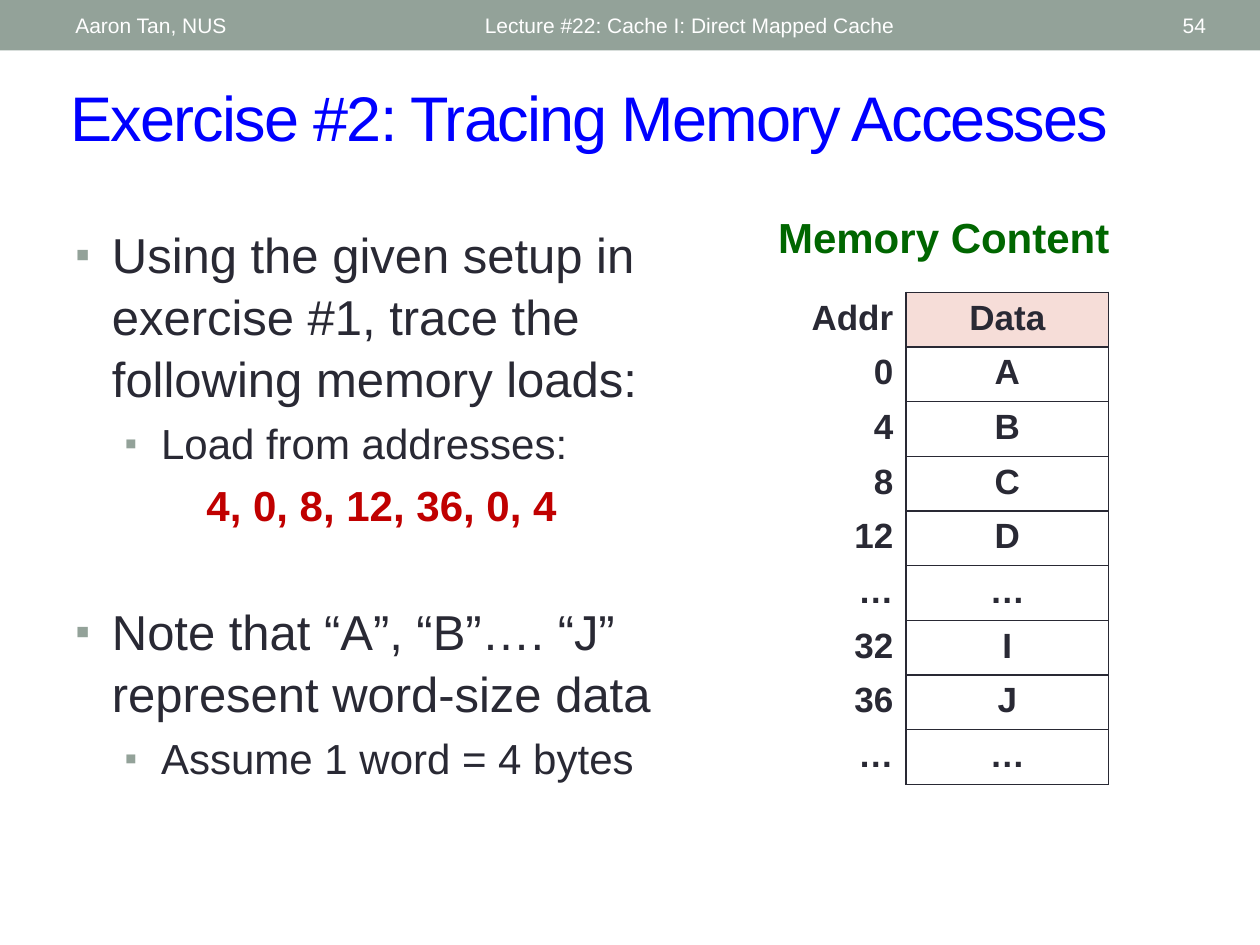
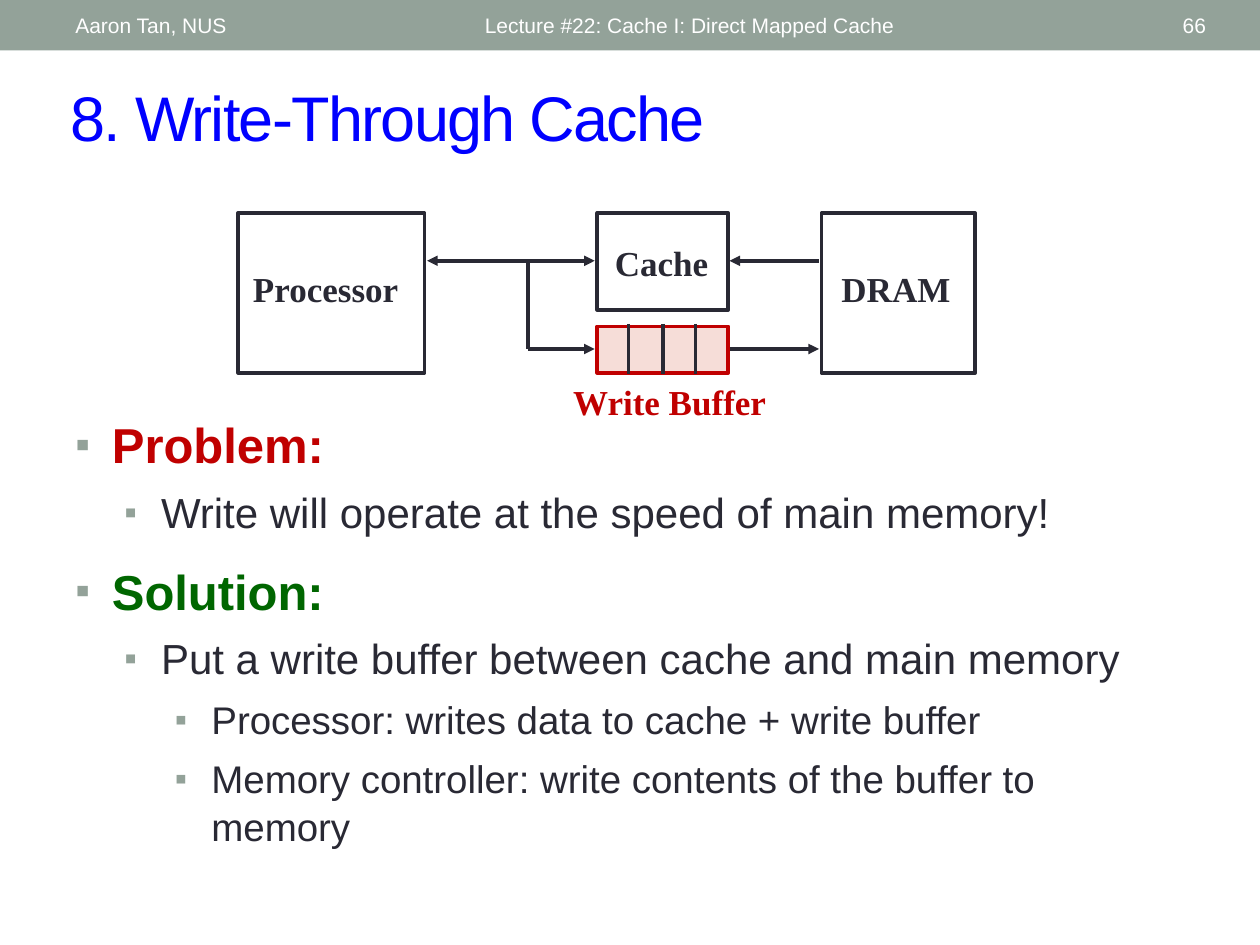
from lxml import etree
from pptx import Presentation
from pptx.dml.color import RGBColor
from pptx.enum.shapes import MSO_CONNECTOR, MSO_SHAPE
from pptx.enum.text import MSO_ANCHOR, PP_ALIGN
from pptx.oxml.ns import qn
from pptx.util import Inches, Pt

LEFT, CENTER, RIGHT = PP_ALIGN.LEFT, PP_ALIGN.CENTER, PP_ALIGN.RIGHT
TOP, MIDDLE = MSO_ANCHOR.TOP, MSO_ANCHOR.MIDDLE
RECTANGLE = MSO_SHAPE.RECTANGLE
STRAIGHT = MSO_CONNECTOR.STRAIGHT

SAGE = "93A299"
INK = "292934"
BLUE = "0000FF"
RED = "C00000"
GREEN = "006600"
PINK = "F6DDD8"
WHITE = "FFFFFF"
SANS = "Arial"
SERIF = "Times New Roman"

LEVEL_SIZES = [28, 24, 22]
LEVEL_MARGINS = [0.29, 0.68, 1.08]
LEVEL_BULLETS = [85, 85, 90]
HANGING = 0.29


def rgb(value):
    return RGBColor.from_string(value)


def add_element(parent, tag, **attributes):
    return etree.SubElement(parent, qn(tag), attributes)


class Deck:
    def __init__(self):
        self.presentation = Presentation()
        self.presentation.slide_width = Inches(10)
        self.presentation.slide_height = Inches(7.5)
        self.slide = None

    def start_slide(self, title, number):
        blank = self.presentation.slide_layouts[6]
        self.slide = self.presentation.slides.add_slide(blank)
        self.box(0, 0, 10, 0.4, fill=SAGE)
        title_run = self.text(title, 0.46, 0.57, 9.21, 0.7, 36, BLUE, anchor=MIDDLE)
        title_run._r.get_or_add_rPr().set("spc", "-100")
        headers = [
            ("Aaron Tan, NUS", 0.5, 3.17, LEFT),
            ("Lecture #22: Cache I: Direct Mapped Cache", 3.75, 4.5, LEFT),
            (str(number), 8.72, 0.95, RIGHT),
        ]
        for words, left, width, align in headers:
            self.text(words, left, 0.02, width, 0.36, 12, WHITE, align=align, anchor=MIDDLE)

    def style_run(self, run, size, color, bold=False, font=SANS):
        run.font.size = Pt(size)
        run.font.name = font
        run.font.bold = bold
        run.font.color.rgb = rgb(color)

    def text_frame(self, left, top, width, height, anchor=TOP):
        shape = self.slide.shapes.add_textbox(
            Inches(left), Inches(top), Inches(width), Inches(height))
        shape.text_frame.word_wrap = True
        shape.text_frame.vertical_anchor = anchor
        return shape.text_frame

    def text(self, words, left, top, width, height, size, color,
             bold=False, font=SANS, align=LEFT, anchor=TOP):
        frame = self.text_frame(left, top, width, height, anchor)
        frame.text = words
        paragraph = frame.paragraphs[0]
        paragraph.alignment = align
        self.style_run(paragraph.runs[0], size, color, bold, font)
        return paragraph.runs[0]

    def label(self, words, left, top, width, color=INK, align=LEFT):
        self.text(words, left, top, width, 0.43, 20, color, True, SERIF, align)

    def box(self, left, top, width, height, fill=None, line=None):
        shape = self.slide.shapes.add_shape(
            RECTANGLE, Inches(left), Inches(top), Inches(width), Inches(height))
        shape.shadow.inherit = False
        if fill:
            shape.fill.solid()
            shape.fill.fore_color.rgb = rgb(fill)
        else:
            shape.fill.background()
        if line:
            shape.line.color.rgb = rgb(line)
            shape.line.width = Pt(2)
        else:
            shape.line.fill.background()

    def line(self, start, end, head=False, tail=False):
        connector = self.slide.shapes.add_connector(
            STRAIGHT, Inches(start[0]), Inches(start[1]), Inches(end[0]), Inches(end[1]))
        connector.line.color.rgb = rgb(INK)
        connector.line.width = Pt(2)
        outline = connector.line._get_or_add_ln()
        if head:
            add_element(outline, "a:headEnd", type="triangle")
        if tail:
            add_element(outline, "a:tailEnd", type="triangle")
        add_element(connector._element.spPr, "a:effectLst")

    def bullets(self, items, left, top, width, height):
        frame = self.text_frame(left, top, width, height)
        for index, (words, level, before, color, bold) in enumerate(items):
            paragraph = frame.paragraphs[0] if index == 0 else frame.add_paragraph()
            paragraph.text = words
            paragraph.level = level
            paragraph.line_spacing = 1.05
            paragraph.space_before = Pt(before)
            self.bullet(paragraph, level)
            self.style_run(paragraph.runs[0], LEVEL_SIZES[level], color, bold)
        return frame

    def bullet(self, paragraph, level):
        properties = paragraph._p.get_or_add_pPr()
        properties.set("marL", str(Inches(LEVEL_MARGINS[level])))
        properties.set("indent", str(-Inches(HANGING)))
        bullet_color = add_element(properties, "a:buClr")
        add_element(bullet_color, "a:srgbClr", val=SAGE)
        add_element(properties, "a:buSzPct", val=str(LEVEL_BULLETS[level] * 1000))
        add_element(properties, "a:buFont", typeface=SANS)
        add_element(properties, "a:buChar", char="▪")

    def unbullet(self, paragraph, margin):
        properties = paragraph._p.get_or_add_pPr()
        for child in list(properties):
            if child.tag.startswith(qn("a:bu")):
                properties.remove(child)
        add_element(properties, "a:buNone")
        properties.set("marL", str(Inches(margin)))
        properties.set("indent", "0")

    def cell_borders(self, cell, sides):
        properties = cell._tc.get_or_add_tcPr()
        for position, side in enumerate(sides):
            border = etree.Element(qn(f"a:ln{side}"), w=str(Pt(1)))
            fill = add_element(border, "a:solidFill")
            add_element(fill, "a:srgbClr", val=INK)
            properties.insert(position, border)

    def memory_table(self, rows, left, top, widths, height):
        table = self.slide.shapes.add_table(
            len(rows), len(widths), Inches(left), Inches(top),
            Inches(sum(widths)), Inches(height)).table
        table.first_row = False
        table.horz_banding = False
        for column, width in zip(table.columns, widths):
            column.width = Inches(width)
        for row_index, values in enumerate(rows):
            for column_index, value in enumerate(values):
                cell = table.cell(row_index, column_index)
                is_data = column_index == 1
                cell.text_frame.text = value
                paragraph = cell.text_frame.paragraphs[0]
                paragraph.alignment = CENTER if is_data else RIGHT
                self.style_run(paragraph.runs[0], 20, INK, True)
                if is_data and row_index == 0:
                    cell.fill.solid()
                    cell.fill.fore_color.rgb = rgb(PINK)
                else:
                    cell.fill.background()
                self.cell_borders(cell, "LRTB" if is_data else "R")


def build_exercise(deck):
    deck.start_slide("Exercise #2: Tracing Memory Accesses", 54)
    frame = deck.bullets([
        ("Using the given setup in exercise #1, trace the following memory loads:",
         0, 0, INK, False),
        ("Load from addresses:", 1, 4.8, INK, False),
        ("4, 0, 8, 12, 36, 0, 4", 1, 4.8, RED, True),
        ("Note that “A”, “B”…. “J” represent word-size data", 0, 39.4, INK, False),
        ("Assume 1 word = 4 bytes", 1, 4.8, INK, False),
    ], 0.5, 1.71, 5.58, 4.92)
    deck.unbullet(frame.paragraphs[2], 1.04)
    deck.text("Memory Content", 5.78, 1.63, 3.42, 0.5, 24, GREEN, True, align=CENTER)
    deck.memory_table([
        ("Addr", "Data"), ("0", "A"), ("4", "B"), ("8", "C"), ("12", "D"),
        ("…", "…"), ("32", "I"), ("36", "J"), ("…", "…"),
    ], 6, 2.32, [1.19, 1.61], 3.9)


def build_write_through(deck):
    deck.start_slide("8. Write-Through Cache", 66)
    deck.bullets([
        ("Problem:", 0, 0, RED, True),
        ("Write will operate at the speed of main memory!", 1, 6, INK, False),
        ("Solution:", 0, 12, GREEN, True),
        ("Put a write buffer between cache and main memory", 1, 6, INK, False),
        ("Processor: writes data to cache + write buffer", 2, 6, INK, False),
        ("Memory controller: write contents of the buffer to memory", 2, 6, INK, False),
    ], 0.5, 3.22, 9, 3.48)

    deck.box(1.89, 1.69, 1.48, 1.27, line=INK)
    deck.label("Processor", 1.91, 2.07, 1.46)
    deck.box(4.74, 1.69, 1.04, 0.77, line=INK)
    deck.label("Cache", 4.74, 1.87, 1.02, align=CENTER)
    deck.box(6.52, 1.69, 1.22, 1.27, line=INK)
    deck.label("DRAM", 6.58, 2.07, 1.07)
    deck.box(4.74, 2.59, 1.04, 0.37, fill=PINK, line=RED)
    deck.label("Write Buffer", 4.45, 2.97, 1.76, RED)
    for divider in (4.99, 5.26, 5.52):
        deck.line((divider, 2.57), (divider, 2.97))

    cache_y, buffer_y, branch_x = 2.07, 2.77, 4.19
    deck.line((3.39, cache_y), (4.72, cache_y), head=True, tail=True)
    deck.line((branch_x, cache_y), (branch_x, buffer_y))
    deck.line((branch_x, buffer_y), (4.72, buffer_y), tail=True)
    deck.line((5.79, cache_y), (6.5, cache_y), head=True)
    deck.line((5.79, buffer_y), (6.5, buffer_y), tail=True)


def main():
    deck = Deck()
    build_exercise(deck)
    build_write_through(deck)
    deck.presentation.save("out.pptx")


if __name__ == "__main__":
    main()
